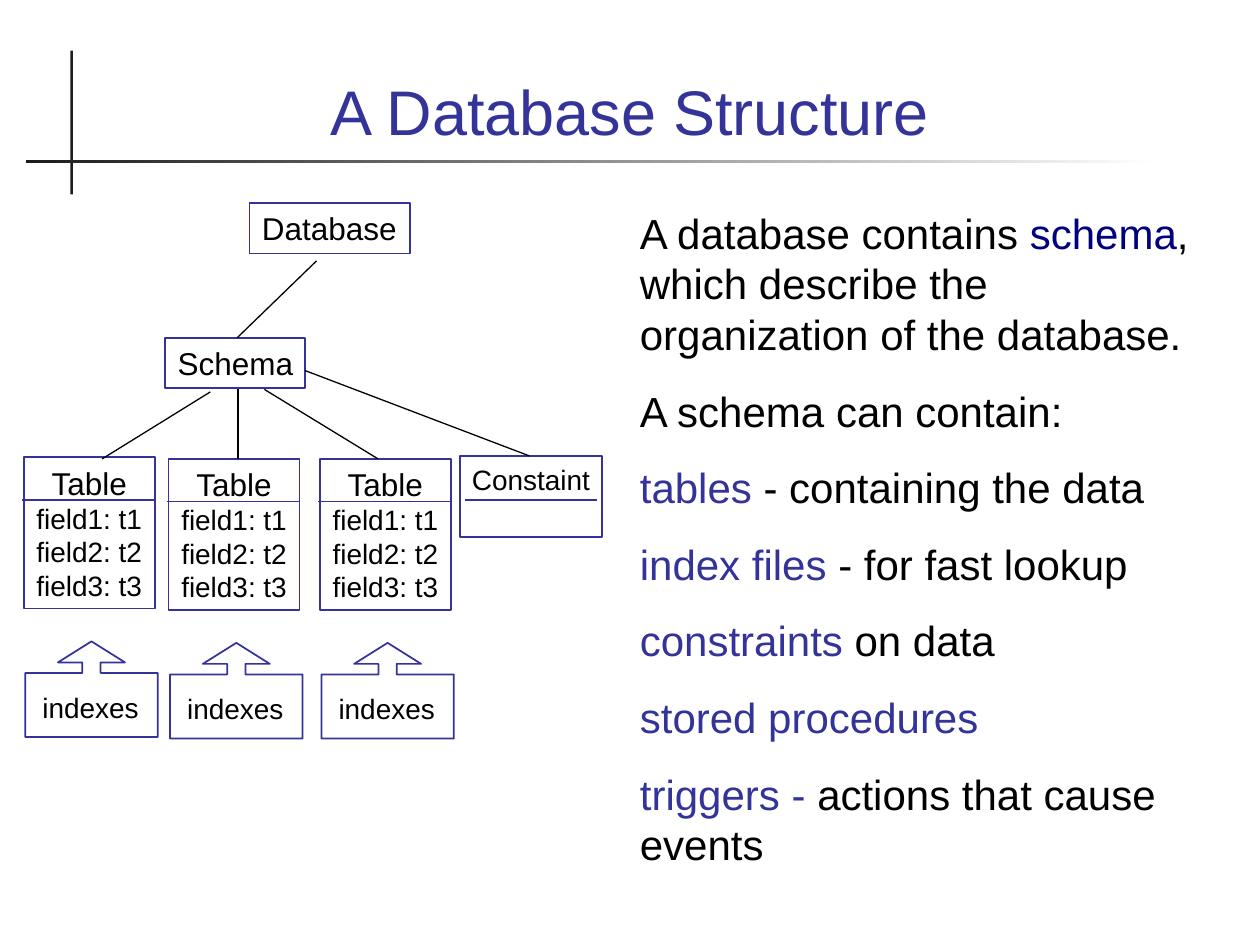
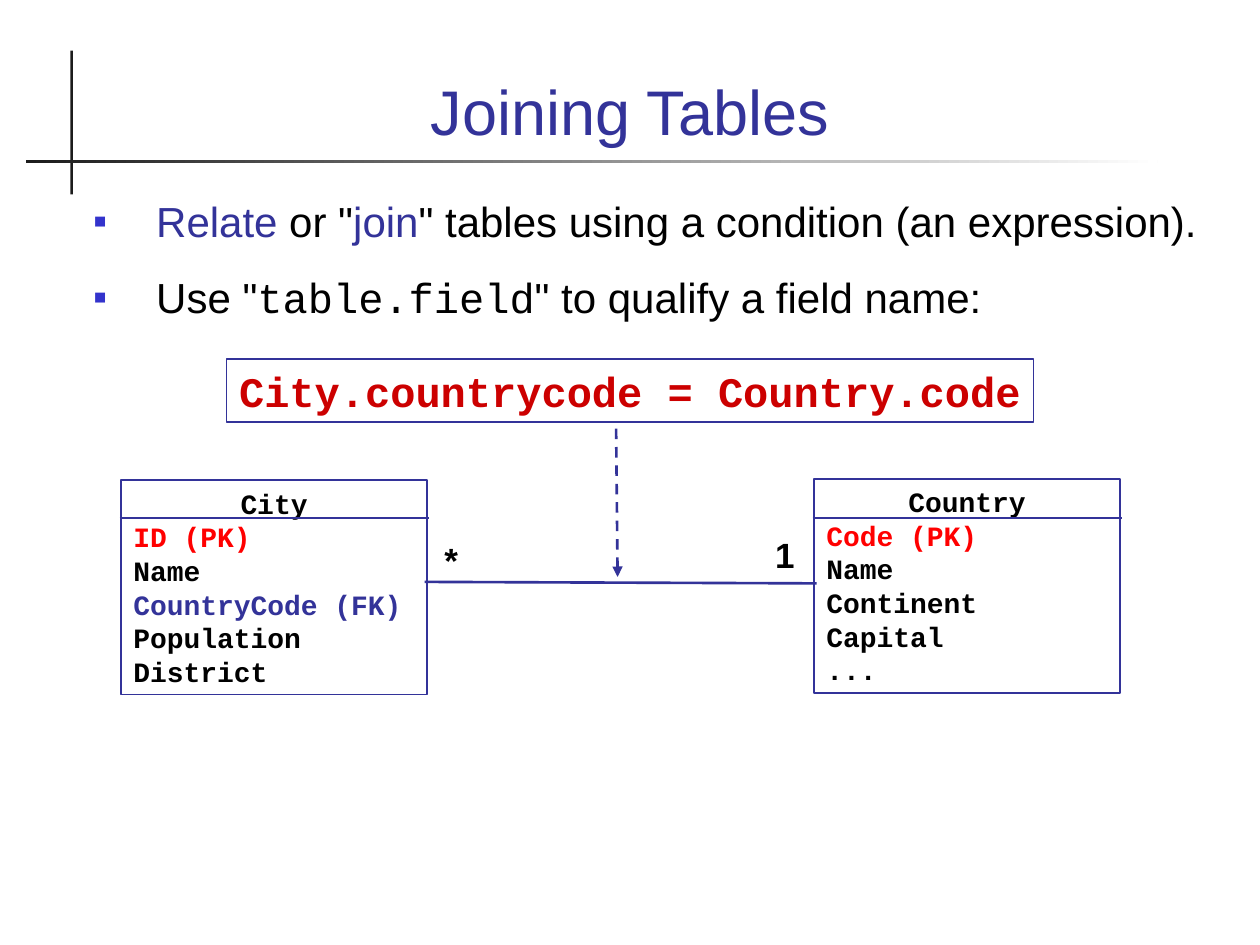
from typing import NamedTuple, Optional, Sequence

from lxml.etree import SubElement
from pptx import Presentation
from pptx.dml.color import RGBColor
from pptx.enum.dml import MSO_LINE_DASH_STYLE as Dash
from pptx.enum.shapes import MSO_CONNECTOR as Connector, MSO_SHAPE as Preset
from pptx.enum.text import MSO_ANCHOR as Anchor, PP_ALIGN as Align
from pptx.oxml.ns import qn
from pptx.util import Cm, Pt

INDIGO = RGBColor(0x33, 0x33, 0x99)
NAVY = RGBColor(0x00, 0x00, 0x80)
BULLET_BLUE = RGBColor(0x33, 0x33, 0xCC)
BLACK = RGBColor(0x00, 0x00, 0x00)
CHARCOAL = RGBColor(0x1C, 0x1C, 0x1C)
WHITE = RGBColor(0xFF, 0xFF, 0xFF)
KEY_RED = RGBColor(0xFF, 0x00, 0x00)
CODE_RED = RGBColor(0xCC, 0x00, 0x00)

SANS = "Arial"
MONO = "Courier New"
LINE_PITCH = 1.2  # line height as a multiple of the text size


class Box(NamedTuple):
    """Place and size in centimetres."""
    left: float
    top: float
    width: float
    height: float

    def lengths(self) -> list[Cm]:
        return [Cm(value) for value in self]


class Link(NamedTuple):
    """Straight line between two points, in centimetres."""
    x1: float
    y1: float
    x2: float
    y2: float


class Span(NamedTuple):
    text: str
    color: RGBColor = BLACK
    font: str = SANS
    bold: bool = False


class Para(NamedTuple):
    spans: Sequence[Span]
    size: float
    align: Align = Align.LEFT
    before: float = 0
    bullet: bool = False


class Entity(NamedTuple):
    name: str
    fields: Sequence[Span]
    left: float
    top: float


# Shared drawing helpers

def add_bullet(paragraph) -> None:
    props = paragraph._p.get_or_add_pPr()
    props.set("marL", str(Cm(1.27)))
    props.set("indent", str(-Cm(1.27)))
    color = SubElement(props, qn("a:buClr"))
    SubElement(color, qn("a:srgbClr")).set("val", str(BULLET_BLUE))
    SubElement(props, qn("a:buSzPct")).set("val", "95000")
    SubElement(props, qn("a:buFont")).set("typeface", SANS)
    SubElement(props, qn("a:buChar")).set("char", "▪")


def write(shape, paras: Sequence[Para], wrap: bool = True,
          anchor: Anchor = Anchor.TOP) -> None:
    frame = shape.text_frame
    frame.word_wrap = wrap
    frame.vertical_anchor = anchor
    for index, para in enumerate(paras):
        paragraph = frame.add_paragraph() if index else frame.paragraphs[0]
        paragraph.alignment = para.align
        paragraph.line_spacing = Pt(LINE_PITCH * para.size)
        paragraph.space_before = Pt(para.before if index else 0)
        if para.bullet:
            add_bullet(paragraph)
        for span in para.spans:
            run = paragraph.add_run()
            run.text = span.text
            run.font.size = Pt(para.size)
            run.font.name = span.font
            run.font.bold = span.bold
            run.font.color.rgb = span.color


def add_text(slide, box: Box, paras: Sequence[Para],
             anchor: Anchor = Anchor.TOP) -> None:
    write(slide.shapes.add_textbox(*box.lengths()), paras, anchor=anchor)


def add_outline(slide, box: Box, paras: Sequence[Para] = (),
                preset: Preset = Preset.RECTANGLE, weight: float = 1,
                wrap: bool = False):
    outline = slide.shapes.add_shape(preset, *box.lengths())
    outline.shadow.inherit = False
    outline.fill.background()
    outline.line.color.rgb = INDIGO
    outline.line.width = Pt(weight)
    write(outline, paras, wrap)
    return outline


def add_link(slide, link: Link, color: RGBColor = INDIGO, weight: float = 1,
             dash: Optional[Dash] = None, arrow: bool = False) -> None:
    ends = [Cm(value) for value in link]
    connector = slide.shapes.add_connector(Connector.STRAIGHT, *ends)
    connector.line.color.rgb = color
    connector.line.width = Pt(weight)
    if dash is not None:
        connector.line.dash_style = dash
    if arrow:
        tail = SubElement(connector.line._get_or_add_ln(), qn("a:tailEnd"))
        tail.set("type", "triangle")
    SubElement(connector._element.spPr, qn("a:effectLst"))


def add_rule(slide, box: Box):
    rule = slide.shapes.add_shape(Preset.RECTANGLE, *box.lengths())
    rule.shadow.inherit = False
    rule.line.fill.background()
    return rule


def start_slide(deck, title: str):
    """Blank slide with the crossed rules and the title."""
    slide = deck.slides.add_slide(deck.slide_layouts[6])
    upright = add_rule(slide, Box(1.42, 1.02, 0.05, 2.9))
    upright.fill.solid()
    upright.fill.fore_color.rgb = CHARCOAL
    fading = add_rule(slide, Box(0.53, 3.23, 22.81, 0.05))
    fading.fill.gradient()
    fading.fill.gradient_angle = 0
    for stop, color in zip(fading.fill.gradient_stops, (CHARCOAL, WHITE)):
        stop.color.rgb = color
    add_text(slide, Box(1.7, 0.71, 22, 2.41),
             [Para([Span(title, INDIGO)], 36, Align.CENTER)], Anchor.BOTTOM)
    return slide


# Slide 1: tree of database, schema and tables

def add_indexed_table(slide, left: float, top: float) -> None:
    fields = [Para([Span(f"field{n}: t{n}")], 16, Align.CENTER)
              for n in (1, 2, 3)]
    add_outline(slide, Box(left, top, 2.64, 3.05),
                [Para([Span("Table")], 18, Align.CENTER), *fields])
    add_link(slide, Link(left - 0.03, top + 0.86, left + 2.64, top + 0.86))
    callout = add_outline(slide, Box(left + 0.03, top + 3.71, 2.67, 1.93),
                          preset=Preset.UP_ARROW_CALLOUT)
    for index, value in enumerate((0.19, 0.35, 0.22, 0.67)):
        callout.adjustments[index] = value
    add_text(slide, Box(left + 0.05, top + 4.57, 2.59, 0.94),
             [Para([Span("indexes")], 16, Align.CENTER)])


def build_structure(deck) -> None:
    slide = start_slide(deck, "A Database Structure")
    add_outline(slide, Box(5.03, 4.09, 3.23, 1.02),
                [Para([Span("Database")], 18)])
    add_outline(slide, Box(3.33, 6.81, 2.82, 1.02),
                [Para([Span("Schema")], 18)])
    for left, top in ((0.48, 9.22), (3.4, 9.25), (6.45, 9.25)):
        add_indexed_table(slide, left, top)
    add_outline(slide, Box(9.27, 9.19, 2.87, 1.63),
                [Para([Span("Constaint")], 16, Align.CENTER)])
    add_link(slide, Link(9.37, 10.08, 12.04, 10.08))

    # Branches of the tree
    branches = (
        Link(6.38, 5.26, 4.78, 6.81),
        Link(4.24, 7.9, 2.06, 9.25),
        Link(4.8, 7.85, 4.8, 9.25),
        Link(5.33, 7.85, 7.62, 9.25),
        Link(6.15, 7.47, 10.67, 9.19),
    )
    for branch in branches:
        add_link(slide, branch, BLACK, 0.75)

    # Explanation
    explanation = (
        [Span("A database contains "), Span("schema", NAVY),
         Span(", which describe the organization of the database.")],
        [Span("A schema can contain:")],
        [Span("tables", INDIGO), Span(" - containing the data")],
        [Span("index files", INDIGO), Span(" - for fast lookup")],
        [Span("constraints ", INDIGO), Span("on data")],
        [Span("stored procedures", INDIGO)],
        [Span("triggers - ", INDIGO), Span("actions that cause events")],
    )
    add_text(slide, Box(12.65, 4.06, 11.81, 13.59),
             [Para(spans, 24, before=15) for spans in explanation])


# Slide 2: two entities joined by a condition

def code(text: str, color: RGBColor = BLACK) -> Span:
    return Span(text, color, MONO, True)


def add_entity(slide, entity: Entity) -> None:
    width, divider = 6.17, 10.44
    add_outline(slide, Box(entity.left, entity.top, width, 4.32),
                [Para([code(entity.name)], 16, Align.CENTER),
                 *(Para([field], 16) for field in entity.fields)], wrap=True)
    add_link(slide, Link(entity.left - 0.03, divider,
                         entity.left + width + 0.03, divider), weight=0.75)


def build_join(deck) -> None:
    slide = start_slide(deck, "Joining Tables")
    advice = (
        [Span("Relate", INDIGO), Span(' or "'), Span("join", INDIGO),
         Span('" tables using a condition (an expression).')],
        [Span('Use "'), Span("table.field", font=MONO),
         Span('" to qualify a field name:')],
    )
    add_text(slide, Box(1.63, 3.81, 23.01, 5.33),
             [Para(spans, 24, before=15, bullet=True) for spans in advice])

    # Join line, its condition and the arrow between them
    add_link(slide, Link(8.56, 11.73, 16.46, 11.76), weight=1.5)
    add_outline(slide, Box(4.57, 7.24, 16.26, 1.27),
                [Para([code("City.countrycode = Country.code", CODE_RED)], 24)],
                weight=0.75)
    add_link(slide, Link(12.42, 8.64, 12.45, 11.63), weight=1.5,
             dash=Dash.DASH, arrow=True)

    # Multiplicities
    for mark, left, top in (("1", 15.29, 10.64), ("*", 8.56, 10.74)):
        add_text(slide, Box(left, top, 1.07, 1.12),
                 [Para([Span(mark, bold=True)], 20, Align.CENTER)])

    entities = (
        Entity("City", (code("ID (PK)", KEY_RED), code("Name"),
                        code("CountryCode (FK)", INDIGO), code("Population"),
                        code("District")), 2.44, 9.68),
        Entity("Country", (code("Code (PK)", KEY_RED), code("Name"),
                           code("Continent"), code("Capital"), code("...")),
               16.41, 9.65),
    )
    for entity in entities:
        add_entity(slide, entity)


def main() -> None:
    deck = Presentation()
    deck.slide_width, deck.slide_height = Cm(25.4), Cm(19.05)
    build_structure(deck)
    build_join(deck)
    deck.save("out.pptx")


if __name__ == "__main__":
    main()
